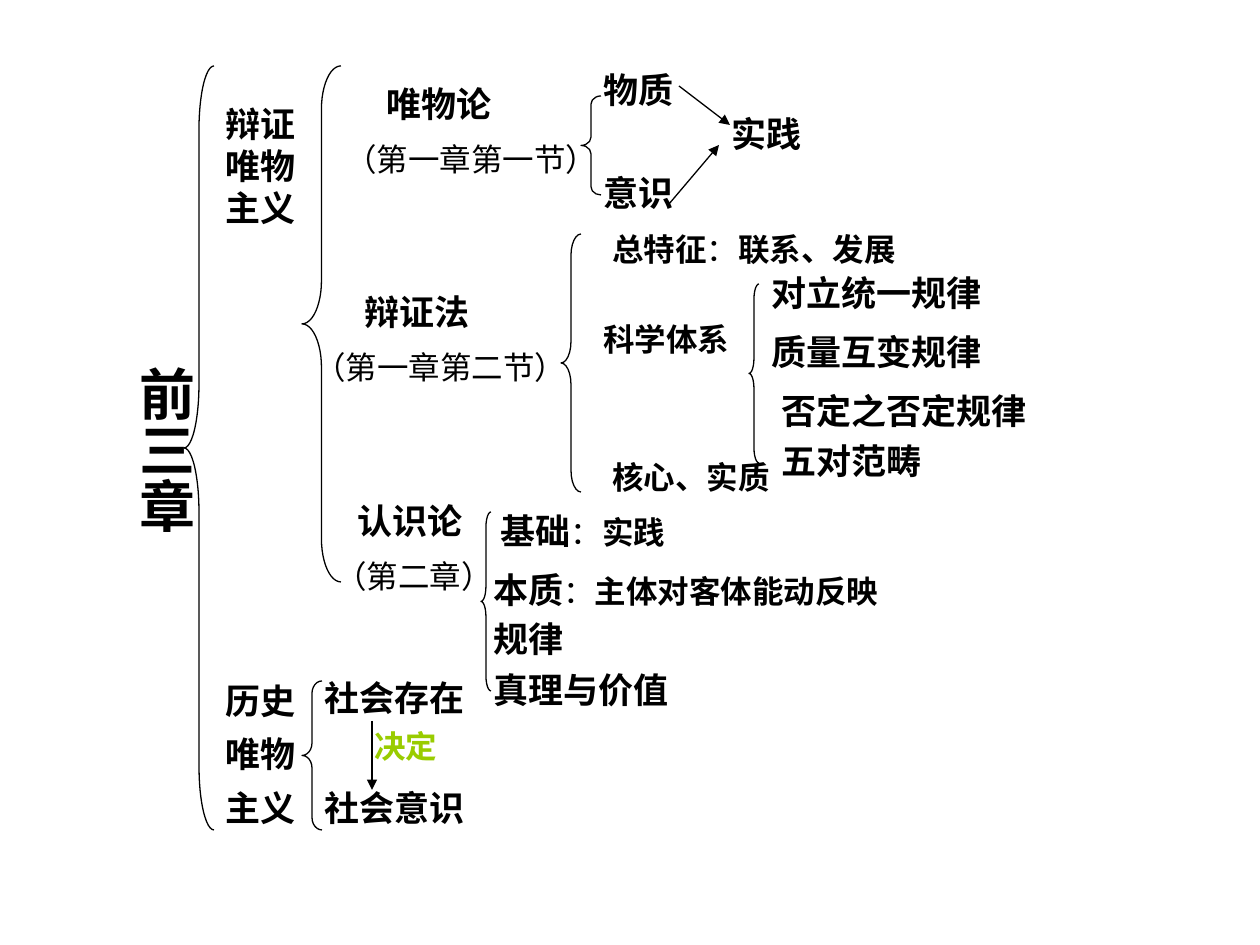
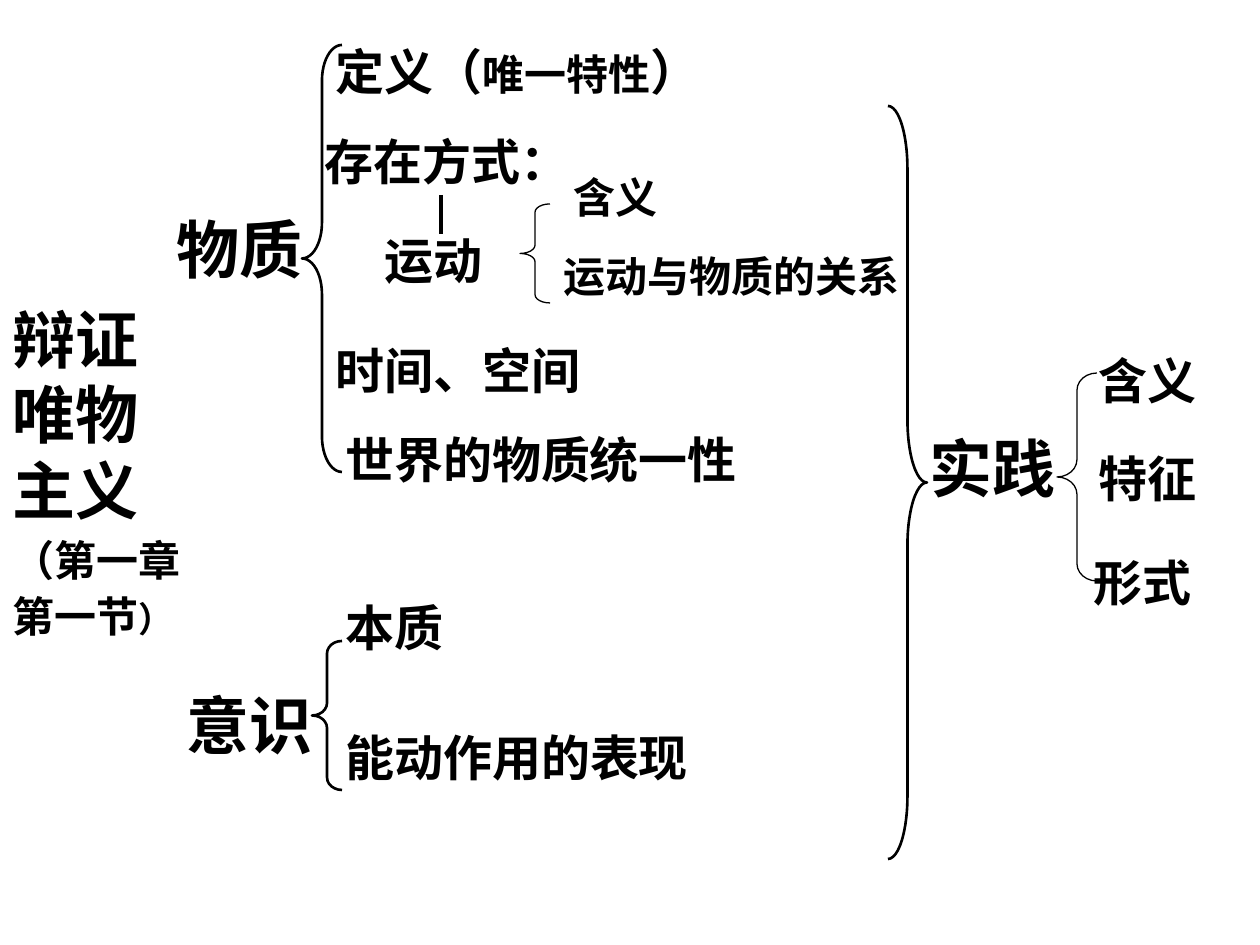
import pptx
import pptx.dml.color
import pptx.enum.lang
import pptx.enum.shapes
import pptx.enum.text
import pptx.oxml
import pptx.oxml.ns
import pptx.util
import lxml.etree

PX = pptx.util.Inches(1) / 126
FONT = "Arial"
INK = "000000"
GREEN = "99CC00"
SHAPES = pptx.enum.shapes.MSO_SHAPE
qn = pptx.oxml.ns.qn


def colour(value):
    return pptx.dml.color.RGBColor.from_string(value)


def write(text, *, page, at, size=20, bold=True, ink=INK, indent=0,
          spacing=None, before=0, wrap=True, vertical=False):
    box = page.shapes.add_textbox(*[round(n * PX) for n in at])
    frame = box.text_frame
    frame.word_wrap = wrap
    frame.auto_size = pptx.enum.text.MSO_AUTO_SIZE.SHAPE_TO_FIT_TEXT
    if vertical:
        frame._txBody.bodyPr.set("vert", "eaVert")
    paragraphs = [text] if isinstance(text, str) else text
    for number, runs in enumerate(paragraphs):
        para = frame.add_paragraph() if number else frame.paragraphs[0]
        if number:
            para.space_before = pptx.util.Pt(before)
        elif indent:
            para._p.get_or_add_pPr().set("indent", str(round(indent * PX)))
        if spacing:
            para.line_spacing = spacing
        for words, points, heavy in [(runs, size, bold)] if isinstance(runs, str) else runs:
            span = para.add_run()
            span.text = words
            span.font.name = FONT
            span.font.size = pptx.util.Pt(points)
            span.font.bold = heavy
            span.font.color.rgb = colour(ink)
            span.font.language_id = pptx.enum.lang.MSO_LANGUAGE_ID.SIMPLIFIED_CHINESE
            lxml.etree.SubElement(span.font._element, qn("a:ea"), typeface=FONT)


deck = pptx.Presentation()
deck.slide_width = round(1260 * PX)
deck.slide_height = round(945 * PX)
overview, matter = [deck.slides.add_slide(deck.slide_layouts[6]) for _ in range(2)]

braces = [
    (overview, SHAPES.LEFT_BRACE, 0.75, [
        (184, 66, 30, 764), (302, 66, 39, 516), (581, 96, 20, 99),
        (561, 234, 20, 258), (749, 284, 10, 179), (481, 512, 10, 179),
        (302, 681, 20, 149)]),
    (matter, SHAPES.LEFT_BRACE, 1.5, [(302, 45, 40, 427), (312, 641, 30, 149)]),
    (matter, SHAPES.LEFT_BRACE, 0.75, [(520, 204, 30, 99), (1057, 373, 40, 208)]),
    (matter, SHAPES.RIGHT_BRACE, 1.5, [(888, 106, 39, 753)]),
]
for page, kind, weight, places in braces:
    for place in places:
        brace = page.shapes.add_shape(kind, *[round(n * PX) for n in place])
        brace.shadow.inherit = False
        brace.fill.background()
        brace.line.color.rgb = colour(INK)
        brace.line.width = pptx.util.Pt(weight)
        brace.adjustments[0] = place[3] / place[2] / 12
        brace.adjustments[1] = 0.5

connectors = [
    (overview, (679, 86, 730, 125), 0.75, True),
    (overview, (669, 204, 719, 145), 0.75, True),
    (overview, (372, 721, 372, 790), 0.75, True),
    (matter, (441, 195, 441, 234), 2.25, False),
]
for page, ends, weight, arrow in connectors:
    link = page.shapes.add_connector(
        pptx.enum.shapes.MSO_CONNECTOR.STRAIGHT, *[round(n * PX) for n in ends])
    link.line.color.rgb = colour(INK)
    link.line.width = pptx.util.Pt(weight)
    if arrow:
        lxml.etree.SubElement(link.line._get_or_add_ln(), qn("a:tailEnd"), type="triangle")
    lxml.etree.SubElement(link._element.spPr, qn("a:effectLst"))

write("前三章", page=overview, at=(113, 354, 92, 456), size=32, vertical=True)
write("辩证唯物主义", page=overview, at=(213, 96, 100, 139))
write(["历史", "唯物", "主义"], page=overview, at=(213, 680, 129, 161),
      spacing=0.85, before=10)

for branch, chapter, place, indent in [
    ("唯物论", "（第一章第一节）", (333, 76, 287, 112), 41),
    ("辩证法", "（第一章第二节）", (302, 284, 277, 112), 50),
    ("认识论", "（第二章）", (323, 493, 228, 112), 22),
]:
    write([branch, [(chapter, 18, False)]], page=overview, at=place,
          indent=indent, before=9)

for words, left, top, width in [
    ("意识", 591, 165, 139),
    ("实践", 719, 106, 129),
    ("对立统一规律", 759, 265, 258),
    ("质量互变规律", 759, 324, 267),
    ("否定之否定规律", 769, 383, 278),
    ("五对范畴", 769, 433, 199),
    ("规律", 481, 611, 129),
    ("真理与价值", 481, 662, 218),
    ("社会存在", 312, 670, 179),
    ("社会意识", 312, 780, 218),
]:
    write(words, page=overview, at=(left, top, width, 54))
write("物质", page=overview, at=(591, 62, 96, 54), wrap=False)

write([[("总特征", 18, True), ("：", 18, False), ("联系、发展", 18, True)]],
      page=overview, at=(600, 224, 348, 50))
write([[("基础", 20, True), ("：", 18, False), ("实践", 18, True)]],
      page=overview, at=(481, 503, 208, 54), indent=7)
write([[("本质", 20, True), ("：", 18, False), ("主体对客体能动反映", 18, True)]],
      page=overview, at=(481, 562, 417, 54))
for words, place, ink in [
    ("科学体系", (591, 314, 188, 50), INK),
    ("核心、实质", (600, 452, 238, 50), INK),
    ("决定", (362, 721, 89, 50), GREEN),
]:
    write(words, page=overview, at=place, size=18, ink=ink)

for words, size, place in [
    ("辩证唯物主义", 36, (0, 294, 203, 239)),
    ("物质", 36, (164, 204, 179, 88)),
    ("意识", 36, (174, 680, 159, 88)),
    ("实践", 36, (917, 423, 248, 202)),
    ("存在方式：", 28, (312, 125, 714, 72)),
    ("时间、空间", 28, (323, 334, 358, 72)),
    ("世界的物质统一性", 28, (333, 423, 556, 72)),
    ("本质", 28, (333, 591, 139, 72)),
    ("能动作用的表现", 28, (333, 721, 436, 72)),
    ("含义", 28, (1086, 344, 174, 72)),
    ("特征", 28, (1086, 442, 174, 72)),
    ("形式", 28, (1081, 546, 174, 72)),
    ("含义", 24, (561, 165, 159, 63)),
    ("运动与物质的关系", 24, (551, 244, 392, 63)),
]:
    write(words, page=matter, at=place, size=size)
write("运动", page=matter, at=(372, 224, 123, 72), size=28, wrap=False)
write([[("定义（", 28, True), ("唯一特性", 24, True), ("）", 28, True)]],
      page=matter, at=(323, 35, 456, 72))
write(["（第一章", [("第一节", 24, True), ("）", 20, True)]], page=matter,
      at=(0, 542, 392, 108), size=24, spacing=0.7, before=12)

deck.save("out.pptx")
